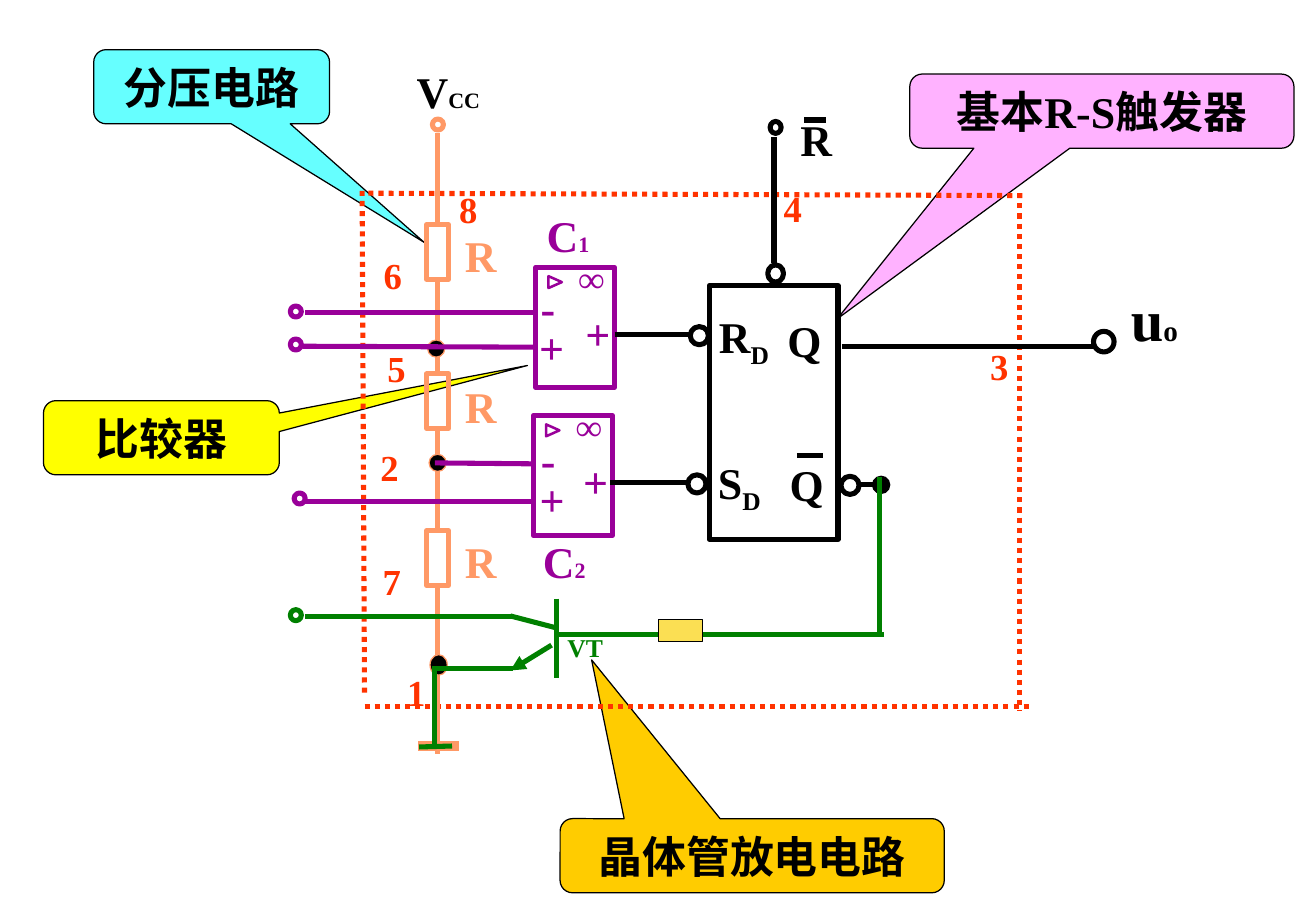
from dataclasses import dataclass

from lxml import etree
from pptx import Presentation, util as u
from pptx.dml.color import RGBColor
from pptx.enum import dml, shapes, text
from pptx.oxml import ns

Cm = u.Cm
Preset = shapes.MSO_SHAPE


@dataclass(frozen=True)
class Theme:
    font: str = "Times New Roman"
    black: str = "000000"
    white: str = "FFFFFF"
    pin: str = "FF3300"
    divider: str = "FF9966"
    comparator: str = "990099"
    transistor: str = "008000"
    base_resistor: str = "FBDF53"
    amber: str = "FFCC00"
    pink: str = "FF66FF"
    yellow: str = "FFFF00"
    cyan: str = "66FFFF"
    output_size: float = 34.7
    output_sub_size: float = 17.3
    label_size: float = 26
    pin_size: float = 21.7
    transistor_size: float = 15.2
    sub_size: float = 13
    wire: float = 3
    thin: float = 0.75


THEME = Theme()


def write_text(frame, content, size=THEME.label_size, color=THEME.black,
               sub="", sub_size=None, align=None):
    """Write bold text; a sub without a sub_size becomes a true subscript."""
    paragraph = frame.paragraphs[0]
    paragraph.alignment = align
    for words, points in ((content, size), (sub, sub_size)):
        if not words:
            continue
        run = paragraph.add_run()
        run.text = words
        run.font.name = THEME.font
        run.font.size = u.Pt(points or size)
        run.font.bold = True
        run.font.color.rgb = RGBColor.from_string(color)
        if points is None:
            run.font._element.set("baseline", "-25000")


def add_label(slide, content, left, top, width=1.3, height=1.37, **style):
    box = slide.shapes.add_textbox(Cm(left), Cm(top), Cm(width), Cm(height))
    box.text_frame.word_wrap = True
    write_text(box.text_frame, content, **style)
    box.text_frame.auto_size = text.MSO_AUTO_SIZE.SHAPE_TO_FIT_TEXT


def add_figure(slide, preset, left, top, width, height, line, fill=None, weight=THEME.wire):
    shape = slide.shapes.add_shape(preset, Cm(left), Cm(top), Cm(width), Cm(height))
    shape.shadow.inherit = False
    if fill:
        shape.fill.solid()
        shape.fill.fore_color.rgb = RGBColor.from_string(fill)
    else:
        shape.fill.background()
    shape.line.color.rgb = RGBColor.from_string(line)
    shape.line.width = u.Pt(weight)
    return shape


def add_ring(slide, left, top, color, size=0.23, height=None, fill=None):
    add_figure(slide, Preset.OVAL, left, top, size, height or size, color, fill)


def add_node(slide, left, top, color, height=0.36):
    add_figure(slide, Preset.OVAL, left, top, 0.36, height, color, THEME.black, THEME.thin)


def add_wire(slide, x1, y1, x2, y2, color, weight=THEME.wire, dotted=False, arrow=False):
    wire = slide.shapes.add_connector(shapes.MSO_CONNECTOR.STRAIGHT,
                                      Cm(x1), Cm(y1), Cm(x2), Cm(y2))
    wire.line.color.rgb = RGBColor.from_string(color)
    wire.line.width = u.Pt(weight)
    if dotted:
        wire.line.dash_style = dml.MSO_LINE.ROUND_DOT
    if arrow:
        etree.SubElement(wire.line._get_or_add_ln(), ns.qn("a:tailEnd"), type="triangle")
    etree.SubElement(wire._element.spPr, ns.qn("a:effectLst"))
    return wire


def add_callout(slide, content, left, top, width, pointer, fill, alpha=None):
    """Add a rounded callout; pointer is the tip's offset in shares of the box."""
    shape = add_figure(slide, Preset.ROUNDED_RECTANGULAR_CALLOUT, left, top, width, 1.55,
                       THEME.black, fill, THEME.thin)
    for index, value in enumerate((*pointer, 0.167)):
        shape.adjustments[index] = value
    if alpha:
        color = shape.fill._xPr.find(ns.qn("a:solidFill"))[0]
        etree.SubElement(color, ns.qn("a:alpha"), val=str(alpha * 1000))
    shape.text_frame.word_wrap = False
    shape.text_frame.vertical_anchor = text.MSO_ANCHOR.MIDDLE
    write_text(shape.text_frame, content, align=text.PP_ALIGN.CENTER)


def draw_callouts(slide):
    add_callout(slide, "晶体管放电电路", 11.71, 17.12, 8.03, (-0.418, -2.642), THEME.amber)
    add_callout(slide, "基本R-S触发器", 19.02, 1.55, 8.03, (-0.689, 2.802), THEME.pink, alpha=50)
    add_callout(slide, "比较器", 0.91, 8.38, 4.93, (1.552, -0.975), THEME.yellow)
    add_callout(slide, "分压电路", 1.96, 1.04, 4.93, (0.901, 2.099), THEME.cyan)


def draw_chip_border(slide):
    for ends in ((21.31, 4.04, 21.31, 14.86), (7.62, 14.78, 21.51, 14.78),
                 (7.7, 4.04, 21.46, 4.09), (7.57, 3.99, 7.62, 14.55)):
        add_wire(slide, *ends, THEME.pin, dotted=True)
    for number, left, top in (("4", 16.13, 3.76), ("3", 20.45, 7.06), ("7", 7.75, 11.56),
                              ("6", 7.77, 5.16), ("5", 7.85, 7.11), ("2", 7.7, 9.17),
                              ("8", 9.35, 3.78), ("1", 8.26, 13.89)):
        add_label(slide, number, left, top, 1.22, 1.19, size=THEME.pin_size, color=THEME.pin)


def draw_divider(slide):
    color, axis = THEME.divider, 9.15
    add_label(slide, "V", 8.46, 1.22, 2.18, sub="CC", sub_size=THEME.sub_size)
    resistors = []
    for top, label_top in ((4.7, 4.65), (7.82, 7.82), (11.1, 11.05)):
        resistors.append(add_figure(slide, Preset.RECTANGLE, 8.92, top, 0.46, 1.14, color))
        add_label(slide, "R", 9.47, label_top, color=color)
    for above, below in zip([None, *resistors], [*resistors, None]):
        wire = add_wire(slide, axis, 2.79, axis, 15.77, color)
        if above:
            wire.begin_connect(above, 2)
        if below:
            wire.end_connect(below, 0)
    add_ring(slide, 9.04, 2.49, color)
    add_wire(slide, 8.74, 15.6, 9.6, 15.6, color, weight=6)
    add_node(slide, 8.94, 7.11, color)
    add_node(slide, 8.97, 9.5, color)
    add_node(slide, 8.99, 13.69, color, height=0.43)


def draw_comparator(slide, left, top, dx=0, dy=0):
    """Draw one comparator; dx and dy shift its input signs."""
    color = THEME.comparator
    add_figure(slide, Preset.RECTANGLE, left, top, 1.65, 2.51, color, THEME.white)
    add_label(slide, "+", left - 0.18 + dx, top + 0.99 + dy, 0.86, color=color)
    add_label(slide, "-", left - 0.15 + dx, top + 0.15 + dy, color=color)
    add_label(slide, "+", left + 0.79, top + 0.69, 0.86, color=color)
    add_label(slide, "∞", left + 0.64, top - 0.36, 1.19, 1.19, size=THEME.pin_size, color=color)
    triangle = add_figure(slide, Preset.ISOSCELES_TRIANGLE, left + 0.28, top + 0.17,
                          0.25, 0.28, color, THEME.white, 1.5)
    triangle.rotation = 90


def draw_comparators(slide):
    color = THEME.comparator
    for number, left, top in (("1", 11.18, 4.24), ("2", 11.1, 11.05)):
        add_label(slide, "C", left, top, 2.03, color=color, sub=number, sub_size=THEME.sub_size)
    for ends in ((6.38, 6.53, 11.18, 6.53), (6.32, 7.24, 11.18, 7.26),
                 (6.38, 10.49, 11.15, 10.49), (9.09, 9.68, 11.13, 9.7)):
        add_wire(slide, *ends, color)
    for left, top in ((6.15, 10.31), (6.07, 7.09), (6.07, 6.4)):
        add_ring(slide, left, top, color)
    draw_comparator(slide, 11.2, 5.59)
    draw_comparator(slide, 11.15, 8.69, dx=0.06, dy=0.09)


def draw_latch(slide):
    color = THEME.black
    add_label(slide, "u", 23.39, 5.79, 1.73, 1.73, size=THEME.output_size,
              sub="o", sub_size=THEME.output_sub_size)
    add_figure(slide, Preset.RECTANGLE, 14.83, 5.97, 2.69, 5.31, color)
    add_label(slide, "R", 14.78, 6.35, 2.06, sub="D")
    add_label(slide, "S", 14.76, 9.4, 1.73, sub="D")
    for name, left, top in (("Q", 16.21, 6.43), ("Q", 16.26, 9.45), ("R", 16.48, 2.24)):
        add_label(slide, name, left, top, 1.83)
    for ends in ((16.66, 9.53, 17.2, 9.53), (16.81, 2.51, 17.27, 2.51),
                 (16.18, 2.87, 16.18, 5.49), (12.85, 6.99, 14.45, 6.99),
                 (12.75, 10.08, 14.4, 10.08), (17.96, 10.13, 18.39, 10.13),
                 (17.6, 7.24, 22.89, 7.24)):
        add_wire(slide, *ends, color)
    add_ring(slide, 16.05, 5.54, color, 0.33, 0.36)
    add_ring(slide, 16.1, 2.54, color, 0.23, 0.25)
    add_ring(slide, 22.86, 6.93, color, 0.43)
    for left, top in ((14.43, 6.83), (14.38, 9.93), (17.58, 9.96)):
        add_ring(slide, left, top, color, 0.38, fill=THEME.white)
    add_node(slide, 18.24, 9.96, color)


def draw_transistor(slide):
    color = THEME.transistor
    for ends in ((18.39, 9.98, 18.39, 13.26), (11.63, 12.52, 11.63, 14.17),
                 (10.67, 12.88, 11.63, 13.13), (6.38, 12.9, 10.72, 12.9),
                 (9.04, 13.97, 10.72, 13.97), (11.61, 13.26, 18.47, 13.26),
                 (9.09, 13.92, 9.09, 15.62), (8.76, 15.62, 9.45, 15.6)):
        add_wire(slide, *ends, color)
    add_wire(slide, 11.53, 13.49, 10.67, 14.02, color, arrow=True)
    add_label(slide, "VT", 11.61, 13.08, 1.32, 0.91, size=THEME.transistor_size, color=color)
    add_ring(slide, 6.07, 12.75, color)
    add_figure(slide, Preset.RECTANGLE, 13.77, 12.95, 0.91, 0.46,
               THEME.black, THEME.base_resistor, THEME.thin)


def main():
    presentation = Presentation()
    presentation.slide_width, presentation.slide_height = Cm(27.51), Cm(19.05)
    slide = presentation.slides.add_slide(presentation.slide_layouts[6])
    for draw in (draw_callouts, draw_chip_border, draw_divider, draw_comparators,
                 draw_latch, draw_transistor):
        draw(slide)
    presentation.save("out.pptx")


if __name__ == "__main__":
    main()
